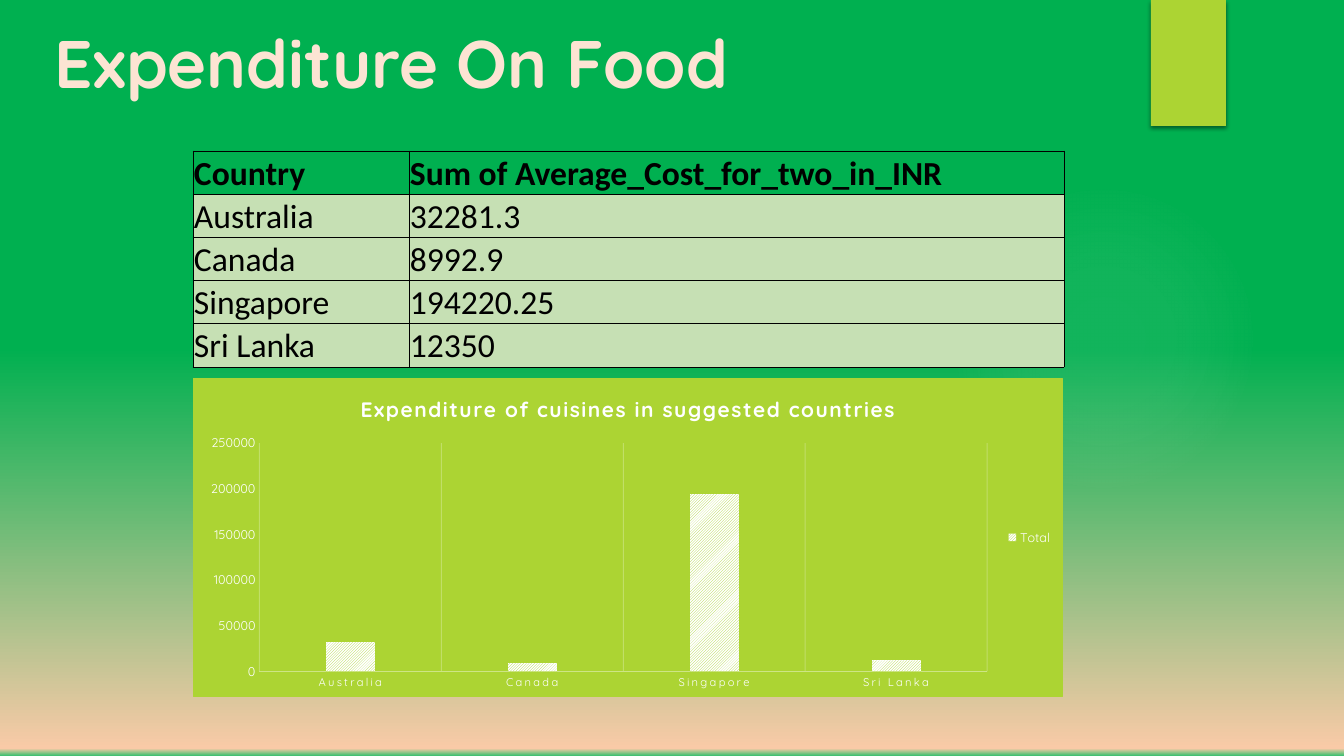
from lxml.etree import SubElement
from pptx import Presentation
from pptx.chart.data import CategoryChartData
from pptx.dml.color import RGBColor
from pptx.enum.chart import XL_CHART_TYPE, XL_LEGEND_POSITION, XL_TICK_MARK
from pptx.enum.dml import MSO_PATTERN
from pptx.enum.shapes import MSO_SHAPE
from pptx.enum.text import MSO_ANCHOR
from pptx.oxml import parse_xml
from pptx.oxml.ns import nsdecls, qn
from pptx.util import Pt

PX = 914400 / 100.8
COLORS = {
    "green": "00B050", "peach": "F9CAA7", "mint": "37BF6E", "lime": "ACD433",
    "pale_lime": "CDE585", "cream": "FCE4D3", "sage": "C6E0B4",
    "glow": "F7F7F7", "black": "000000", "white": "FFFFFF",
}
HEADER = ("Country", "Sum of Average_Cost_for_two_in_INR")
COSTS = {"Australia": 32281.3, "Canada": 8992.9, "Singapore": 194220.25, "Sri Lanka": 12350}


def px(*lengths):
    return [round(length * PX) for length in lengths]


def rgb(name):
    return RGBColor.from_string(COLORS[name])


def style(font, name, size, color, bold=False):
    font.name, font.size, font.bold = name, Pt(size), bold
    font.color.rgb = rgb(color)


def set_gradient(parent, stops, direction):
    """Swap the solid fill in parent for a gradient of (percent, color, opacity)."""
    marks = "".join(
        f'<a:gs pos="{at * 1000}"><a:srgbClr val="{COLORS[color]}">'
        f'<a:alpha val="{opacity * 1000}"/></a:srgbClr></a:gs>'
        for at, color, opacity in stops)
    gradient = parse_xml(f'<a:gradFill {nsdecls("a")} rotWithShape="1">'
                         f'<a:gsLst>{marks}</a:gsLst>{direction}</a:gradFill>')
    parent.replace(parent.find(qn("a:solidFill")), gradient)


def add_background(page):
    page.background.fill.solid()
    page.background.fill.fore_color.rgb = rgb("green")
    set_gradient(page._element.find(".//" + qn("p:bgPr")),
                 [(46, "green", 100), (99, "peach", 100), (100, "mint", 100)],
                 '<a:lin ang="5400000" scaled="0"/>')


def add_plain_shape(page, kind, bounds, color):
    shape = page.shapes.add_shape(kind, *px(*bounds))
    shape.shadow.inherit = False
    shape.fill.solid()
    shape.fill.fore_color.rgb = rgb(color)
    shape.line.fill.background()
    return shape


def add_glow(page):
    glow = add_plain_shape(page, MSO_SHAPE.OVAL, (949, 184, 310, 310), "glow")
    set_gradient(glow._element.spPr, [(0, "glow", 7), (36, "glow", 6), (69, "glow", 0)],
                 '<a:path path="circle"><a:fillToRect l="50000" t="50000" '
                 'r="50000" b="50000"/></a:path>')


def add_ribbon(page):
    ribbon = add_plain_shape(page, MSO_SHAPE.RECTANGLE, (1151, 0, 75, 126), "lime")
    effects = ribbon._element.spPr.find(qn("a:effectLst"))
    shadow = SubElement(effects, qn("a:outerShdw"), blurRad=str(Pt(3)),
                        dist=str(Pt(2)), dir="5400000", rotWithShape="0")
    color = SubElement(shadow, qn("a:srgbClr"), val=COLORS["black"])
    SubElement(color, qn("a:alpha"), val="45000")


def add_title(page, text):
    box = page.shapes.add_textbox(*px(45, 13, 973, 98))
    frame = box.text_frame
    frame.word_wrap = True
    frame.vertical_anchor = MSO_ANCHOR.MIDDLE
    frame.text = text
    style(frame.paragraphs[0].runs[0].font, "Quicksand", 48, "cream", True)


def set_borders(cell):
    properties = cell._tc.get_or_add_tcPr()
    for index, side in enumerate(("lnL", "lnR", "lnT", "lnB")):
        properties.insert(index, parse_xml(
            f'<a:{side} {nsdecls("a")} w="{Pt(0.5)}"><a:solidFill>'
            f'<a:srgbClr val="{COLORS["black"]}"/></a:solidFill></a:{side}>'))


def add_cost_table(page):
    rows = [HEADER, *COSTS.items()]
    table = page.shapes.add_table(len(rows), 2, *px(193, 151, 871, 216)).table
    table.horz_banding = False
    for column, width in zip(table.columns, px(216, 655)):
        column.width = width
    for row_index, values in enumerate(rows):
        is_header = row_index == 0
        for column_index, value in enumerate(values):
            cell = table.cell(row_index, column_index)
            cell.margin_left = cell.margin_right = cell.margin_top = px(1)[0]
            cell.margin_bottom = 0
            cell.vertical_anchor = MSO_ANCHOR.BOTTOM
            cell.text_frame.text = str(value)
            style(cell.text_frame.paragraphs[0].runs[0].font,
                  "Calibri", 24, "black", is_header)
            cell.fill.solid()
            cell.fill.fore_color.rgb = rgb("green" if is_header else "sage")
            set_borders(cell)


def format_axes(chart):
    for axis, size in ((chart.category_axis, 8), (chart.value_axis, 9)):
        axis.major_tick_mark = axis.minor_tick_mark = XL_TICK_MARK.NONE
        style(axis.tick_labels.font, "Quicksand", size, "white")
    # Countries: spaced labels and faint vertical dividers
    countries = chart.category_axis
    countries._element.find(".//" + qn("a:defRPr")).set("spc", "150")
    countries.format.line.color.rgb = rgb("pale_lime")
    countries.format.line.width = Pt(0.25)
    countries.has_major_gridlines = True
    divider = countries.major_gridlines.format.line
    divider.color.rgb = rgb("white")
    divider.width = Pt(0.75)
    color = countries._element.find(
        qn("c:majorGridlines")).find(".//" + qn("a:srgbClr"))
    SubElement(color, qn("a:alpha"), val="25000")
    # Costs: labels only
    chart.value_axis.has_major_gridlines = False
    chart.value_axis.format.line.fill.background()


def add_cost_chart(page):
    data = CategoryChartData()
    data.categories = list(COSTS)
    data.add_series("Total", [round(cost / 1000) * 1000 for cost in COSTS.values()])
    chart = page.shapes.add_chart(XL_CHART_TYPE.COLUMN_CLUSTERED,
                                  *px(193, 378, 870, 319), data).chart
    style(chart.font, "Quicksand", 10, "black")
    # Panel
    paint = f'<a:solidFill><a:srgbClr val="{COLORS["lime"]}"/></a:solidFill>'
    chart._chartSpace.find(qn("c:chart")).addnext(parse_xml(
        f'<c:spPr {nsdecls("c", "a")}>{paint}<a:ln w="{Pt(0.75)}">{paint}</a:ln></c:spPr>'))
    # Title
    frame = chart.chart_title.text_frame
    frame.text = "Expenditure of cuisines in suggested countries"
    span = frame.paragraphs[0].runs[0]
    style(span.font, "Quicksand", 15, "white", True)
    span._r.get_or_add_rPr().set("spc", "110")
    # Columns
    plot = chart.plots[0]
    plot.gap_width, plot.overlap = 269, -20
    plot.vary_by_categories = False
    fill = plot.series[0].format.fill
    fill.patterned()
    fill.pattern = MSO_PATTERN.LIGHT_UPWARD_DIAGONAL
    fill.fore_color.rgb = rgb("lime")
    fill.back_color.rgb = rgb("white")
    format_axes(chart)
    # Legend
    chart.has_legend = True
    chart.legend.position = XL_LEGEND_POSITION.RIGHT
    chart.legend.include_in_layout = False
    style(chart.legend.font, "Quicksand", 9, "white")


def main():
    deck = Presentation()
    deck.slide_width, deck.slide_height = px(1344, 756)
    page = deck.slides.add_slide(deck.slide_layouts[6])
    add_background(page)
    add_glow(page)
    add_ribbon(page)
    add_title(page, "Expenditure On Food")
    add_cost_chart(page)
    add_cost_table(page)
    deck.save("out.pptx")


if __name__ == "__main__":
    main()
